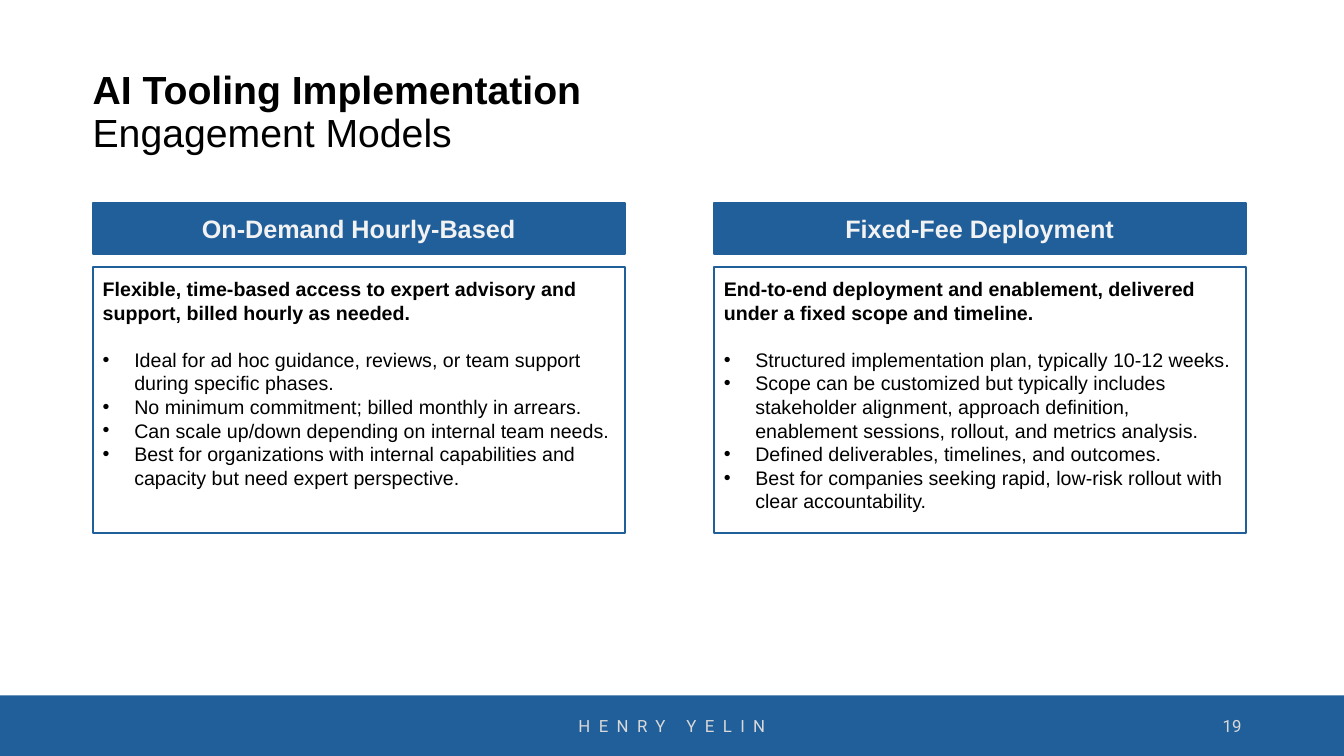
import pptx
import pptx.util
import pptx.oxml
import pptx.dml.color
import pptx.enum.text
import pptx.enum.shapes
from dataclasses import dataclass

Pt = pptx.util.Pt
RGB = pptx.dml.color.RGBColor.from_string
ALIGN = pptx.enum.text.PP_ALIGN
ANCHOR = pptx.enum.text.MSO_ANCHOR
RECTANGLE = pptx.enum.shapes.MSO_SHAPE.RECTANGLE


@dataclass(frozen=True)
class Theme:
    panel: str = "205F9A"
    footer: str = "215F9A"
    ink: str = "000000"
    header_ink: str = "F2F2F2"
    footer_ink: str = "D9D9D9"
    title_size: float = 28
    header_size: float = 18
    body_size: float = 14
    footer_size: float = 12
    face: str = "Arial"
    footer_face: str = "Roboto"
    outline: float = 1.5
    inset: float = 7.2
    indent: float = 22.5


THEME = Theme()

MODELS = [
    ("On-Demand Hourly-Based",
     "Flexible, time-based access to expert advisory and support, billed hourly as needed.",
     ["Ideal for ad hoc guidance, reviews, or team support during specific phases.",
      "No minimum commitment; billed monthly in arrears.",
      "Can scale up/down depending on internal team needs.",
      "Best for organizations with internal capabilities and capacity but need expert perspective."]),
    ("Fixed-Fee Deployment",
     "End-to-end deployment and enablement, delivered under a fixed scope and timeline.",
     ["Structured implementation plan, typically 10-12 weeks.",
      "Scope can be customized but typically includes stakeholder alignment, approach definition, "
      "enablement sessions, rollout, and metrics analysis.",
      "Defined deliverables, timelines, and outcomes.",
      "Best for companies seeking rapid, low-risk rollout with clear accountability."]),
]


def assign(target, values):
    for name, value in values.items():
        setattr(target, name, value)


def place(shape, box):
    assign(shape, dict(zip(("left", "top", "width", "height"), map(Pt, box))))


def set_frame(shape, anchor, insets):
    sides = ("margin_left", "margin_top", "margin_right", "margin_bottom")
    assign(shape.text_frame, {
        "word_wrap": True,
        "auto_size": pptx.enum.text.MSO_AUTO_SIZE.NONE,
        "vertical_anchor": anchor,
        **dict(zip(sides, map(Pt, insets))),
    })


def set_font(font, size, color, bold=False, face=THEME.face):
    assign(font, {"size": Pt(size), "bold": bold, "name": face})
    font.color.rgb = RGB(color)


def write(paragraph, text, size, color, bold=False, face=THEME.face,
          align=ALIGN.LEFT, before=0, spacing=1.0):
    assign(paragraph, {"alignment": align, "space_before": Pt(before),
                       "space_after": Pt(0), "line_spacing": spacing})
    run = paragraph.add_run()
    run.text = text
    set_font(run.font, size, color, bold, face)
    return run


def set_bullet(paragraph, character=None):
    properties = paragraph._p.get_or_add_pPr()
    indent = Pt(THEME.indent) if character else 0
    properties.set("marL", str(indent))
    properties.set("indent", str(-indent))
    if character:
        font = pptx.oxml.parse_xml(
            f'<a:buFont {pptx.oxml.ns.nsdecls("a")} typeface="{THEME.face}"/>')
        mark = pptx.oxml.parse_xml(
            f'<a:buChar {pptx.oxml.ns.nsdecls("a")} char="{character}"/>')
        properties.extend([font, mark])
    else:
        properties.append(pptx.oxml.parse_xml(
            f'<a:buNone {pptx.oxml.ns.nsdecls("a")}/>'))


def draw_title(title, box):
    place(title, box)
    set_frame(title, ANCHOR.MIDDLE, (0, 0, 0, 0))
    heading = title.text_frame.paragraphs[0]
    write(heading, "AI Tooling Implementation", THEME.title_size, THEME.ink, True, spacing=0.9)
    heading.add_line_break()
    write(heading, "Engagement Models", THEME.title_size, THEME.ink, spacing=0.9)


def draw_model(header, details, box, model):
    left, top, width, height = box
    name, summary, points = model
    header_height, gap, inset = 36.7, 9.4, THEME.inset
    for part in (header, details):
        part.line.color.rgb = RGB(THEME.panel)
        part.line.width = Pt(THEME.outline)

    place(header, (left, top, width, header_height))
    set_frame(header, ANCHOR.MIDDLE, (inset,) * 4)
    header.fill.solid()
    header.fill.fore_color.rgb = RGB(THEME.panel)
    heading = header.text_frame.paragraphs[0]
    set_bullet(heading)
    write(heading, name, THEME.header_size, THEME.header_ink, True, align=ALIGN.CENTER)

    offset = header_height + gap
    place(details, (left, top + offset, width, height - offset))
    set_frame(details, ANCHOR.TOP, (inset, inset, inset, 0))
    lead = details.text_frame.paragraphs[0]
    set_bullet(lead)
    write(lead, summary, THEME.body_size, THEME.ink, True)
    for index, point in enumerate(points):
        item = details.text_frame.add_paragraph()
        set_bullet(item, "•")
        write(item, point, THEME.body_size, THEME.ink,
              before=0 if index else THEME.body_size * 1.2)


def draw_footer(slide, box):
    left, top, width, height = box
    band = slide.shapes.add_shape(RECTANGLE, *map(Pt, box))
    band.shadow.inherit = False
    band.fill.solid()
    band.fill.fore_color.rgb = RGB(THEME.footer)
    band.line.fill.background()
    set_frame(band, ANCHOR.MIDDLE, (7.2, 3.6, 7.2, 3.6))
    author = write(band.text_frame.paragraphs[0], "HENRY YELIN", THEME.footer_size,
                   THEME.footer_ink, face=THEME.footer_face, align=ALIGN.CENTER)
    author.font._element.set("spc", "600")

    number_box = (left + width - 282, top + 7.2, 216, 28.8)
    number = slide.shapes.add_textbox(*map(Pt, number_box))
    set_frame(number, ANCHOR.MIDDLE, (7.2, 3.6, 7.2, 3.6))
    write(number.text_frame.paragraphs[0], "19", THEME.footer_size, THEME.footer_ink,
          face=THEME.footer_face, align=ALIGN.RIGHT)


def main():
    deck = pptx.Presentation()
    assign(deck, {"slide_width": Pt(960), "slide_height": Pt(540)})
    slide = deck.slides.add_slide(deck.slide_layouts.get_by_name("Comparison"))
    title, *parts = list(slide.placeholders)[:5]
    margin, panel_width, panel_step = 66.2, 380, 443.6

    draw_footer(slide, (0, 496.8, 960, 43.2))
    draw_title(title, (margin, 28.8, 828, 104.4))
    for index, model in enumerate(MODELS):
        header, details = parts[2 * index:2 * index + 2]
        draw_model(header, details,
                   (margin + index * panel_step, 144.7, panel_width, 236.2), model)
    deck.save("out.pptx")


if __name__ == "__main__":
    main()
